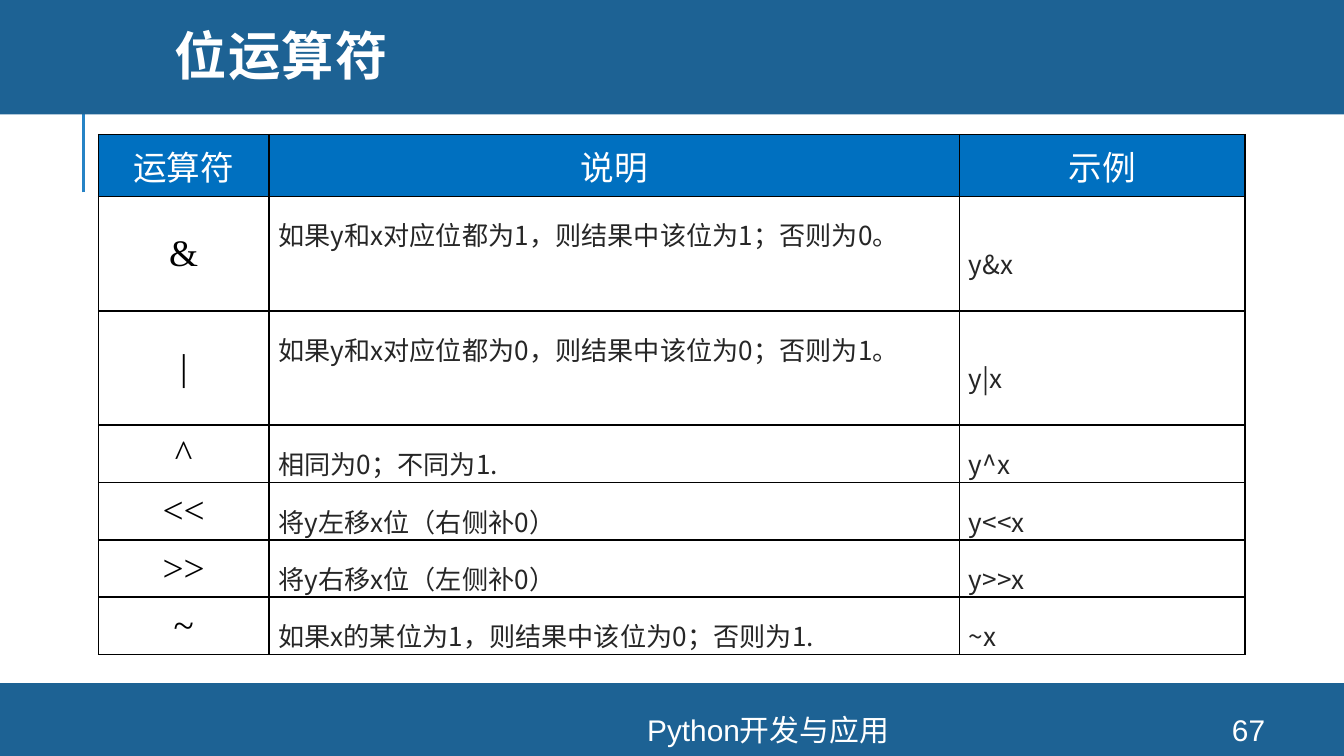
from collections import namedtuple

from lxml.etree import SubElement
from pptx import Presentation
from pptx.dml.color import RGBColor
from pptx.enum.shapes import MSO_CONNECTOR as Connector, MSO_SHAPE as Shape
from pptx.enum.text import MSO_ANCHOR as Anchor, PP_ALIGN as Align
from pptx.oxml import parse_xml
from pptx.oxml.ns import nsdecls, qn
from pptx.util import Inches, Pt

Box = namedtuple("Box", "left top width height")
Style = namedtuple("Style", "size font color")

COLORS = {
    "band": "1D6294",
    "rule": "2683C6",
    "table_head": "0070C0",
    "white": "FFFFFF",
    "black": "000000",
    "body": "262626",
}
CJK_FONT = "Noto Sans CJK SC"
TITLE = Style(28, "Montserrat", "white")
FOOTER = Style(16, "Arial", "white")
TABLE_HEAD = Style(18, "Arial", "white")
OPERATOR = Style(20, "Times New Roman", "black")
BODY = Style(14, CJK_FONT, "body")

COLUMN_SHARES = (14.85, 60.25, 24.9)
ROW_SHARES = (11.9, *[22] * 2, *[11.03] * 4)
HEADINGS = ("运算符", "说明", "示例")
OPERATORS = (
    ("&", "如果y和x对应位都为1，则结果中该位为1；否则为0。", "y&x"),
    ("|", "如果y和x对应位都为0，则结果中该位为0；否则为1。", "y|x"),
    ("^", "相同为0；不同为1.", "y^x"),
    ("<<", "将y左移x位（右侧补0）", "y<<x"),
    (">>", "将y右移x位（左侧补0）", "y>>x"),
    ("~", "如果x的某位为1，则结果中该位为0；否则为1.", "~x"),
)


def part(box, left, top, width, height):
    """Return the part of a box given by percentages of its sides."""
    return Box(
        int(box.left + box.width * left / 100),
        int(box.top + box.height * top / 100),
        int(box.width * width / 100),
        int(box.height * height / 100),
    )


def color(name):
    """Return a named colour of the palette."""
    return RGBColor.from_string(COLORS[name])


def write(frame, text, style, align, spacing=None):
    """Write one styled run into a text frame and return its font."""
    paragraph = frame.paragraphs[0]
    paragraph.alignment = align
    paragraph.line_spacing = spacing
    run = paragraph.add_run()
    run.text = text
    font = run.font
    font.size = Pt(style.size)
    font.name = style.font
    font.color.rgb = color(style.color)
    SubElement(run._r.get_or_add_rPr(), qn("a:ea")).set("typeface", CJK_FONT)
    return font


def add_label(slide, box, text, style, align, spacing=None):
    """Add a wrapped, vertically centred text box and return its font."""
    frame = slide.shapes.add_textbox(*box).text_frame
    frame.word_wrap = True
    frame.vertical_anchor = Anchor.MIDDLE
    return write(frame, text, style, align, spacing)


def add_band(slide, box):
    """Add a plain coloured band filling the box."""
    band = slide.shapes.add_shape(Shape.RECTANGLE, *box)
    band.shadow.inherit = False
    band.fill.solid()
    band.fill.fore_color.rgb = color("band")
    band.line.fill.background()


def add_header(slide, box):
    """Add the hanging rule, the top band and the slide title."""
    rule = part(box, 6.23, 80.68, 0, 85.23)
    line = slide.shapes.add_connector(
        Connector.STRAIGHT, rule.left, rule.top + rule.height, rule.left, rule.top
    )
    line.line.color.rgb = color("rule")
    line.line.width = Pt(1.5)
    SubElement(line._element.spPr, qn("a:effectLst"))
    add_band(slide, box)
    title_box = part(box, 12, 3.41, 84.9, 102.5)
    font = add_label(slide, title_box, "位运算符", TITLE, Align.LEFT, 0.8)
    font.bold = True
    font._element.set("spc", "80")


def add_footer(slide, box):
    """Add the bottom band with the course name and page number."""
    add_band(slide, box)
    for text, left, width in (("Python开发与应用", 26.1, 62.1), ("67", 88.9, 8)):
        add_label(slide, part(box, left, 42.59, width, 42.59), text, FOOTER, Align.CENTER)


def add_borders(cell):
    """Draw thin black lines on all four sides of a cell."""
    properties = cell._tc.get_or_add_tcPr()
    for index, side in enumerate(("lnL", "lnR", "lnT", "lnB")):
        border = parse_xml(
            f'<a:{side} {nsdecls("a")} w="{Pt(1)}"><a:solidFill>'
            f'<a:srgbClr val="{COLORS["black"]}"/></a:solidFill></a:{side}>'
        )
        properties.insert(index, border)


def fill_body_cell(cell, column, text):
    """Fill a body cell in the manner of its column."""
    cell.fill.background()
    cell.margin_left = cell.margin_right = Inches(0.07)
    cell.margin_top = cell.margin_bottom = 0
    cell.vertical_anchor = Anchor.TOP if column == 1 else Anchor.MIDDLE
    if column == 0:
        write(cell.text_frame, text, OPERATOR, Align.CENTER)
    else:
        write(cell.text_frame, text, BODY, Align.JUSTIFY, 1.5)


def add_operator_table(slide, box):
    """Add the table of bitwise operators."""
    rows = (HEADINGS, *OPERATORS)
    table = slide.shapes.add_table(len(rows), len(HEADINGS), *box).table
    table.horz_banding = False
    for column, share in zip(table.columns, COLUMN_SHARES):
        column.width = int(box.width * share / 100)
    for row, share in zip(table.rows, ROW_SHARES):
        row.height = int(box.height * share / 100)
    for row_index, row in enumerate(rows):
        for column, text in enumerate(row):
            cell = table.cell(row_index, column)
            if row_index == 0:
                cell.fill.solid()
                cell.fill.fore_color.rgb = color("table_head")
                write(cell.text_frame, text, TABLE_HEAD, Align.CENTER).bold = False
            else:
                fill_body_cell(cell, column, text)
            add_borders(cell)


def main():
    """Build the slide and save the presentation."""
    presentation = Presentation()
    presentation.slide_width = Inches(10)
    presentation.slide_height = Inches(10) * 9 // 16
    slide = presentation.slides.add_slide(presentation.slide_layouts[6])
    page = Box(0, 0, presentation.slide_width, presentation.slide_height)
    add_header(slide, part(page, 0, -0.53, 100, 15.66))
    add_footer(slide, part(page, 0, 90.36, 100, 9.64))
    add_operator_table(slide, part(page, 7.34, 17.8, 85.3, 68.8))
    presentation.save("out.pptx")


if __name__ == "__main__":
    main()
